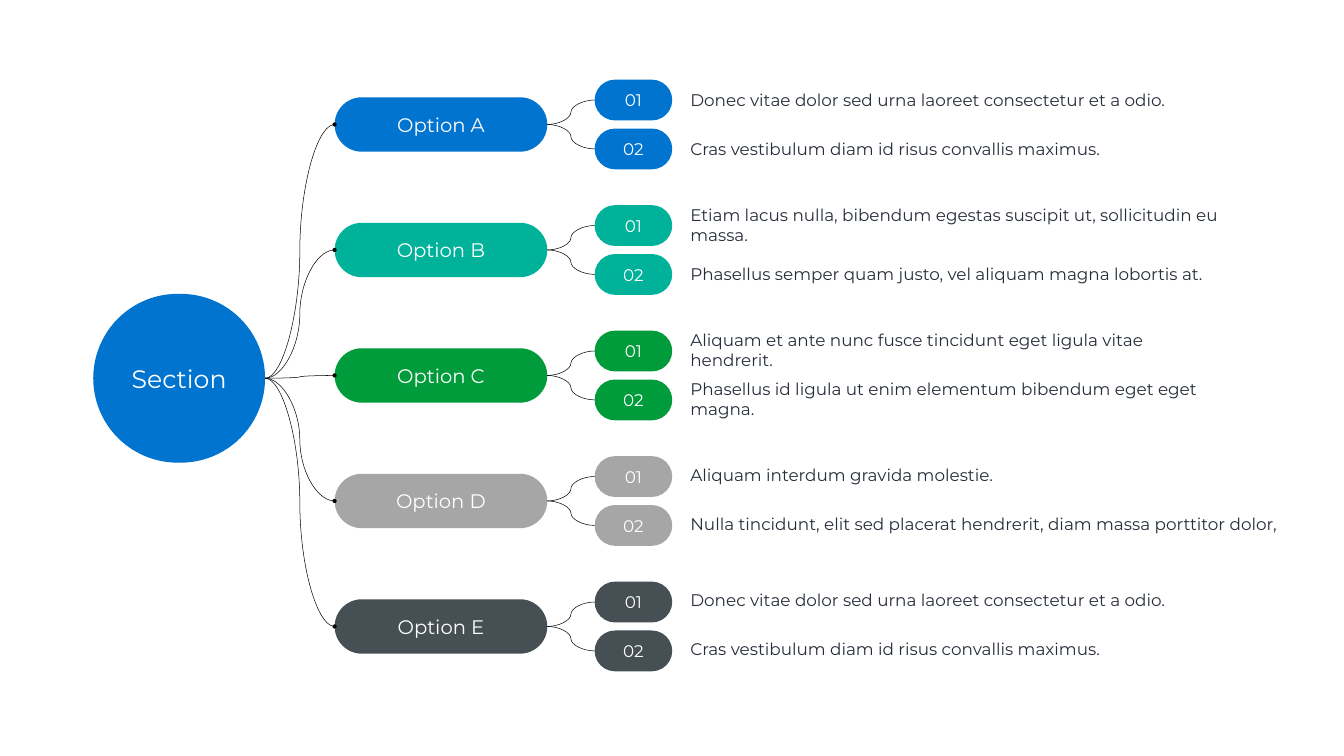
"""Build a section map with five coloured options and two notes for each."""
import pptx
import pptx.dml.color
import pptx.enum.shapes
import pptx.enum.text
import pptx.oxml.ns
import pptx.util
from lxml import etree

Inches = pptx.util.Inches
RGBColor = pptx.dml.color.RGBColor
BLUE = RGBColor(0x00, 0x74, 0xCF)
TEAL = RGBColor(0x00, 0xB2, 0x99)
GREEN = RGBColor(0x00, 0x9B, 0x3A)
GREY = RGBColor(0xA6, 0xA6, 0xA6)
SLATE = RGBColor(0x46, 0x4F, 0x54)
WHITE = RGBColor(0xFF, 0xFF, 0xFF)
BLACK = RGBColor(0x00, 0x00, 0x00)
INK = RGBColor(0x27, 0x2E, 0x3A)
FONT = "Montserrat"
LEFT, RIGHT = 1, 3

OPTIONS = [
    ("Option A", BLUE, [
        ("Donec vitae dolor sed urna laoreet consectetur et a odio.", 9.69),
        ("Cras vestibulum diam id risus convallis maximus.", 8.33)]),
    ("Option B", TEAL, [
        ("Etiam lacus nulla, bibendum egestas suscipit ut, sollicitudin eu massa.", 11.85),
        ("Phasellus semper quam justo, vel aliquam magna lobortis at.", 10.43)]),
    ("Option C", GREEN, [
        ("Aliquam et ante nunc fusce tincidunt eget ligula vitae hendrerit.", 10.88),
        ("Phasellus id ligula ut enim elementum bibendum eget eget magna.", 11.6)]),
    ("Option D", GREY, [
        ("Aliquam interdum gravida molestie.", 6.22),
        ("Nulla tincidunt, elit sed placerat hendrerit, diam massa porttitor dolor,", 11.91)]),
    ("Option E", SLATE, [
        ("Donec vitae dolor sed urna laoreet consectetur et a odio.", 9.69),
        ("Cras vestibulum diam id risus convallis maximus.", 8.33)]),
]


def set_text(shape, text, size, color, align):
    frame = shape.text_frame
    frame.text = text
    frame.word_wrap = True
    frame.vertical_anchor = pptx.enum.text.MSO_ANCHOR.MIDDLE
    line = frame.paragraphs[0]
    line.alignment = align
    font = line.runs[0].font
    font.name = FONT
    font.size = pptx.util.Pt(size)
    font.color.rgb = color


def add_pill(slide, box, text, size, color):
    kind = pptx.enum.shapes.MSO_SHAPE.ROUNDED_RECTANGLE
    pill = slide.shapes.add_shape(kind, *map(Inches, box))
    pill.adjustments[0] = 0.5
    pill.shadow.inherit = False
    pill.fill.solid()
    pill.fill.fore_color.rgb = color
    pill.line.fill.background()
    set_text(pill, text, size, WHITE, pptx.enum.text.PP_ALIGN.CENTER)
    return pill


def add_note(slide, box, text):
    note = slide.shapes.add_textbox(*map(Inches, box))
    set_text(note, text, 24, INK, pptx.enum.text.PP_ALIGN.LEFT)


def add_curve(slide, child, parent, dot=False):
    kind = pptx.enum.shapes.MSO_CONNECTOR.CURVE
    curve = slide.shapes.add_connector(kind, 0, 0, 0, 0)
    curve.begin_connect(child, LEFT)
    curve.end_connect(parent, RIGHT)
    curve.line.color.rgb = BLACK
    curve.line.width = pptx.util.Pt(0.75)
    qn = pptx.oxml.ns.qn
    props = curve._element.spPr
    if dot:
        etree.SubElement(props.find(qn("a:ln")), qn("a:headEnd"), type="oval")
    etree.SubElement(props, qn("a:effectLst"))


def add_option(slide, root, index, name, color, notes):
    top = 1.93 + 2.49 * index
    option = add_pill(slide, (6.64, top, 4.22, 1.08), name, 28, color)
    add_curve(slide, option, root, dot=True)
    for row, (text, width) in enumerate(notes):
        shift = 0.97 * row
        badge = add_pill(slide, (11.8, top - 0.35 + shift, 1.54, 0.81),
                         f"{row + 1:02}", 24, color)
        add_curve(slide, badge, option)
        add_note(slide, (13.6, 1.73 + 2.48 * index + shift, width, 0.5), text)


def main():
    deck = pptx.Presentation()
    deck.slide_width = Inches(26.67)
    deck.slide_height = Inches(15)
    slide = deck.slides.add_slide(deck.slide_layouts[6])
    root = add_pill(slide, (1.85, 5.83, 3.41, 3.35), "Section", 36, BLUE)
    for index, (name, color, notes) in enumerate(OPTIONS):
        add_option(slide, root, index, name, color, notes)
    deck.save("out.pptx")


if __name__ == "__main__":
    main()
